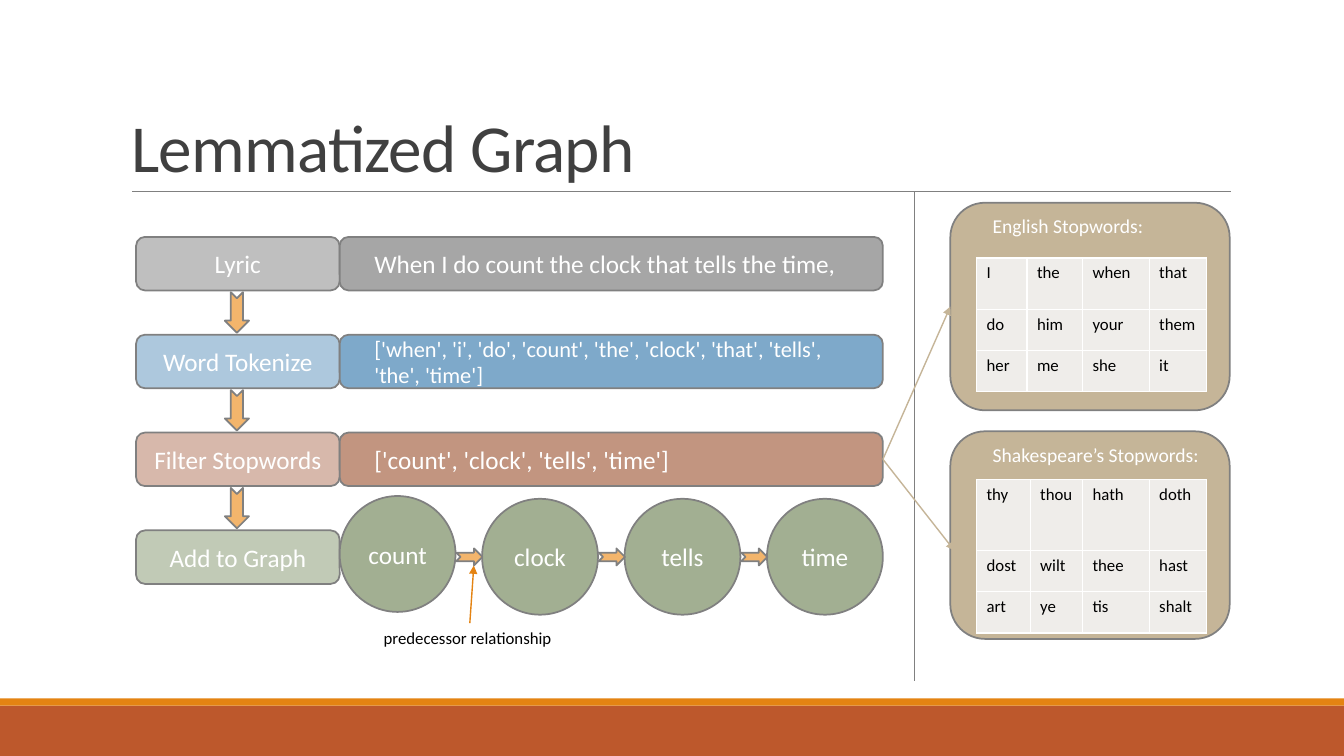
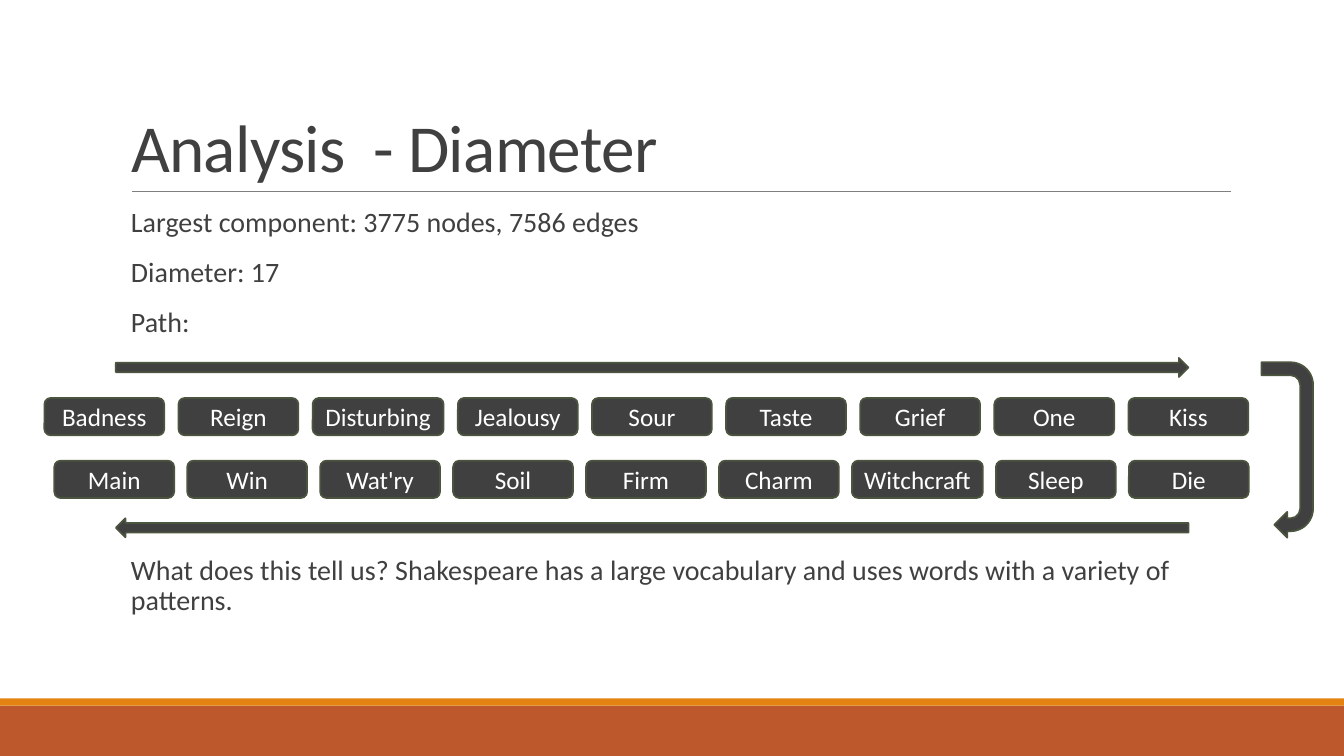
from pptx import Presentation
from pptx.dml.color import RGBColor
from pptx.enum.shapes import MSO_CONNECTOR, MSO_SHAPE
from pptx.enum.text import MSO_ANCHOR, PP_ALIGN
from pptx.oxml.ns import qn
from pptx.util import Cm, Pt
from lxml.etree import SubElement

hues = {
    "rust": "BD582C", "orange": "E48312", "peach": "F3B56C",
    "gray": "808080", "dark": "404040", "moss": "4A543E",
    "white": "FFFFFF", "black": "000000", "tan": "C5B598", "cell": "EFEDEA",
    "silver": "BFBFBF", "steel": "A6A6A6", "sky": "ADC8DD", "blue": "7EA9CA",
    "blush": "D7B8AB", "clay": "C29580", "mint": "C1CAB6", "sage": "A2AF92",
}
hues = {name: RGBColor.from_string(code) for name, code in hues.items()}


def write(frame, lines, size, hue, para, **form):
    for key, val in {"word_wrap": True, **form}.items():
        setattr(frame, key, val)
    for num, line in enumerate(lines):
        part = frame.add_paragraph() if num else frame.paragraphs[0]
        part.text = line
        for key, val in para.items():
            if num or key != "space_before":
                setattr(part, key, val)
        font = part.runs[0].font
        for key, val in {"name": "Calibri", "size": Pt(size)}.items():
            setattr(font, key, val)
        font.color.rgb = hues[hue]


def draw(slide, kind, spot, fill, edge=None, turn=0):
    shape = slide.shapes.add_shape(kind, *[Cm(v) for v in spot])
    shape.shadow.inherit = False
    shape.rotation = turn
    shape.fill.solid()
    shape.fill.fore_color.rgb = hues[fill]
    if edge:
        shape.line.color.rgb = hues[edge]
        shape.line.width = Pt(1.25)
    else:
        shape.line.fill.background()
    return shape


deck = Presentation()
deck.slide_width, deck.slide_height = Cm(33.87), Cm(19.05)
plan = deck.slide_layouts[5]
head = plan.placeholders[0]
for key, val in {"left": 3.05, "top": 0.79, "width": 27.94, "height": 4.04}.items():
    setattr(head, key, Cm(val))

graph, study = [deck.slides.add_slide(plan) for _ in range(2)]
left = {"alignment": PP_ALIGN.LEFT}
center = {"alignment": PP_ALIGN.CENTER}
for slide, name in ((graph, "Lemmatized Graph"), (study, "Analysis  - Diameter")):
    title = slide.shapes.title
    write(title.text_frame, [name], 48, "dark", {**left, "line_spacing": 0.85},
          vertical_anchor=MSO_ANCHOR.BOTTOM)
    title.text_frame.paragraphs[0].runs[0].font._element.set("spc", "-50")

bands = [
    draw(graph, MSO_SHAPE.RECTANGLE, (0, 17.78, 33.87, 1.27), "rust"),
    draw(graph, MSO_SHAPE.RECTANGLE, (0, 17.6, 33.87, 0.18), "orange"),
]

steps = [
    ("Lyric", "silver", "When I do count the clock that tells the time,", "steel", 18),
    ("Word Tokenize", "sky",
     "['when', 'i', 'do', 'count', 'the', 'clock', 'that', 'tells', 'the', 'time']",
     "blue", 16),
    ("Filter Stopwords", "blush", "['count', 'clock', 'tells', 'time']", "clay", 18),
    ("Add to Graph", "mint", None, None, 18),
]
for num, (label, tint, text, fill, size) in enumerate(steps):
    top = 5.97 + 2.465 * num
    step = draw(graph, MSO_SHAPE.ROUNDED_RECTANGLE, (3.43, top, 5.13, 1.35), tint, "gray")
    write(step.text_frame, [label], 18, "white", center)
    if text:
        last = draw(graph, MSO_SHAPE.ROUNDED_RECTANGLE, (8.56, top, 13.69, 1.35), fill, "gray")
        write(last.text_frame, [text], size, "white", left, margin_left=Cm(0.81))
        draw(graph, MSO_SHAPE.NOTCHED_RIGHT_ARROW, (5.46, top + 1.6, 1.02, 0.61),
             "peach", "gray", 90)

for num, word in enumerate(("count", "clock", "tells", "time")):
    x = 8.56 + 3.59 * num
    node = draw(graph, MSO_SHAPE.OVAL, (x, 12.57 if num else 12.5, 2.92, 2.92), "sage", "gray")
    write(node.text_frame, [word], 18, "white", center)
    if num:
        draw(graph, MSO_SHAPE.NOTCHED_RIGHT_ARROW, (x - 0.65, 13.82, 0.66, 0.43),
             "peach", "gray")

note = graph.shapes.add_textbox(Cm(9.42), Cm(15.7), Cm(4.8), Cm(0.76))
write(note.text_frame, ["predecessor relationship"], 12, "black", left, word_wrap=False)

lists = [
    ("English Stopwords:", 5.11, 6.5, 1.29, (1.27, 1.4, 1.68, 1.45),
     ("I the when that", "do him your them", "her me she it")),
    ("Shakespeare’s Stopwords:", 10.87, 12.09, 1.78, (1.35, 1.32, 1.68, 1.45),
     ("thy thou hath doth", "dost wilt thee hast", "art ye tis shalt")),
]
cards = []
for name, top, start, first, wide, rows in lists:
    card = draw(graph, MSO_SHAPE.ROUNDED_RECTANGLE, (23.95, top, 7.04, 5.23), "tan", "gray")
    write(card.text_frame, [name], 14, "white", left, margin_left=Cm(0.81),
          margin_top=Cm(0.03), vertical_anchor=MSO_ANCHOR.TOP)
    cards.append(card)
    grid = graph.shapes.add_table(3, 4, Cm(24.61), Cm(start), Cm(5.8), Cm(first + 2.08)).table
    grid.first_row = grid.horz_banding = False
    for col, width in zip(grid.columns, wide):
        col.width = Cm(width)
    for row, height, words in zip(grid.rows, (first, 1.04, 1.04), rows):
        row.height = Cm(height)
        for cell, word in zip(row.cells, words.split()):
            write(cell.text_frame, [word], 12, "black", left)
            props = cell._tc.get_or_add_tcPr()
            for side in ("a:lnL", "a:lnR", "a:lnT", "a:lnB"):
                rim = SubElement(props, qn(side), w=str(Pt(1)))
                ink = SubElement(rim, qn("a:solidFill"))
                SubElement(ink, qn("a:srgbClr"), val=str(hues["white"]))
            cell.fill.solid()
            cell.fill.fore_color.rgb = hues["cell"]

wires = [
    ((3.33, 4.83, 31.01, 4.83), "gray", 0.5, False, None, None),
    ((23.04, 4.83, 23.04, 17.15), "gray", 0.5, False, None, None),
    ((11.84, 15.7, 11.94, 14.25), "orange", 1, True, None, None),
    ((22.25, 11.58, 23.95, 7.72), "tan", 1, True, last, cards[0]),
    ((22.25, 11.58, 24.05, 13.87), "tan", 1, True, last, None),
]
for ends, hue, size, tip, tail, goal in wires:
    wire = graph.shapes.add_connector(MSO_CONNECTOR.STRAIGHT, *[Cm(v) for v in ends])
    wire.line.color.rgb = hues[hue]
    wire.line.width = Pt(size)
    if tip:
        SubElement(wire.line._get_or_add_ln(), qn("a:tailEnd"), type="triangle")
    SubElement(wire.element.spPr, qn("a:effectLst"))
    if tail:
        wire.begin_connect(tail, 3)
    if goal:
        wire.end_connect(goal, 1)
    if ends[1] == ends[3]:
        bands.append(wire)

for num, band in enumerate(bands, 20):
    band.element.xpath(".//p:cNvPr")[0].set("id", str(num))
    plan.shapes.element.append(band.element)

notes = [
    (5.13, 3.9, ["Largest component: 3775 nodes, 7586 edges", "Diameter: 17", "Path:"]),
    (13.89, 2, ["What does this tell us? Shakespeare has a large vocabulary "
                "and uses words with a variety of patterns."]),
]
prose = {**left, "line_spacing": 0.9, "space_before": Pt(12), "space_after": Pt(2)}
for top, height, lines in notes:
    body = study.shapes.add_textbox(Cm(3.05), Cm(top), Cm(27.94), Cm(height))
    write(body.text_frame, lines, 20, "dark", prose, margin_left=Cm(0.25), margin_right=0)

trail = [
    (1.12, 10.03, 0.36, "Badness Reign Disturbing Jealousy Sour Taste Grief One Kiss"),
    (1.37, 11.61, 0.33, "Main Win Wat'ry Soil Firm Charm Witchcraft Sleep Die"),
]
for x, top, gap, words in trail:
    for word in words.split():
        width = 3.3 if len(word) > 9 else 3.02
        chip = draw(study, MSO_SHAPE.ROUNDED_RECTANGLE, (x, top, width, 0.94), "dark", "moss")
        write(chip.text_frame, [word], 18, "white", center,
              margin_left=Cm(0.1), margin_right=Cm(0.1))
        x += width + gap

for kind, spot, turn in (
    (MSO_SHAPE.U_TURN_ARROW, (30.23, 10.69, 4.42, 1.3), 90),
    (MSO_SHAPE.RIGHT_ARROW, (2.92, 9.02, 27.03, 0.48), 0),
    (MSO_SHAPE.RIGHT_ARROW, (2.92, 13.06, 27.03, 0.48), 180),
):
    draw(study, kind, spot, "dark", "moss", turn)

deck.save("out.pptx")
